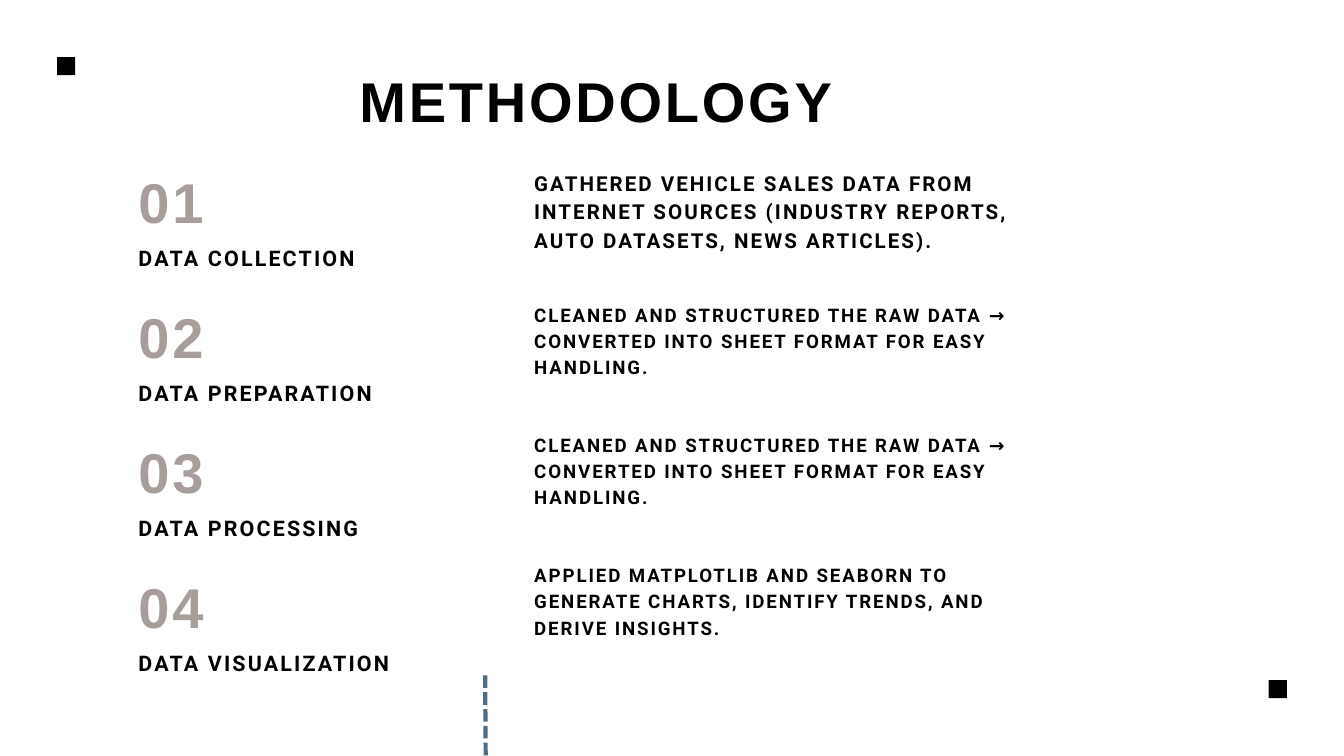
from pptx import Presentation
from pptx.dml.color import RGBColor
from pptx.enum.dml import MSO_LINE
from pptx.enum.shapes import MSO_CONNECTOR, MSO_SHAPE
from pptx.enum.text import MSO_AUTO_SIZE
from pptx.oxml.ns import qn
from pptx.util import Emu, Pt

STRAIGHT = MSO_CONNECTOR.STRAIGHT
RECTANGLE = MSO_SHAPE.RECTANGLE
DASH = MSO_LINE.SQUARE_DOT
GROW = MSO_AUTO_SIZE.SHAPE_TO_FIT_TEXT

COLORS = {"ink": "000000", "number": "A79E9C", "dash": "4E6E81"}

TITLE = "METHODOLOGY"
# Step name, description, top and height of the description, its text size
STEPS = [
    ("DATA COLLECTION",
     "GATHERED VEHICLE SALES DATA FROM INTERNET SOURCES "
     "(INDUSTRY REPORTS, AUTO DATASETS, NEWS ARTICLES).", 248, 164, 22),
    ("DATA PREPARATION",
     "CLEANED AND STRUCTURED THE RAW DATA → "
     "CONVERTED INTO SHEET FORMAT FOR EASY HANDLING.", 446, 154, 20),
    ("DATA PROCESSING",
     "CLEANED AND STRUCTURED THE RAW DATA → "
     "CONVERTED INTO SHEET FORMAT FOR EASY HANDLING.", 640, 154, 20),
    ("DATA VISUALIZATION",
     "APPLIED MATPLOTLIB AND SEABORN TO GENERATE CHARTS, "
     "IDENTIFY TRENDS, AND DERIVE INSIGHTS.", 834, 154, 20),
]
SQUARES = [(85, 85), (1888, 1012)]
SQUARE_SIZE = 27

# Layout in px, 100 to the inch
STEP_LEFT, STEP_WIDTH = 206, 522
STEP_TOP, STEP_PITCH = 233, 201
NAME_OFFSET = 125
DETAIL_LEFT, DETAIL_WIDTH = 795, 773
LINE_RATIO = 1.4


def px(length):
    return Emu(length * 9144)


def color(name):
    return RGBColor.from_string(COLORS[name])


def add_text(page, text, left, top, width, height, size,
             font="Roboto", ink="ink", tracking=0.1):
    box = page.shapes.add_textbox(px(left), px(top), px(width), px(height))
    frame = box.text_frame
    frame.margin_left = frame.margin_right = 0
    frame.margin_top = frame.margin_bottom = 0
    frame.word_wrap = True
    frame.auto_size = GROW
    para = frame.paragraphs[0]
    para.line_spacing = Pt(size * LINE_RATIO)
    span = para.add_run()
    span.text = text
    span.font.name = font
    span.font.size = Pt(size)
    span.font.bold = True
    span.font.color.rgb = color(ink)
    # Letter spacing in hundredths of a point, as a share of the size
    span.font._element.set("spc", str(round(size * tracking * 100)))


def add_square(page, left, top):
    square = page.shapes.add_shape(
        RECTANGLE, px(left), px(top), px(SQUARE_SIZE), px(SQUARE_SIZE))
    square.shadow.inherit = False
    square.fill.solid()
    square.fill.fore_color.rgb = color("ink")
    square.line.fill.background()


def add_dashed_line(page, start, end):
    line = page.shapes.add_connector(
        STRAIGHT, px(start[0]), px(start[1]), px(end[0]), px(end[1]))
    line.line.color.rgb = color("dash")
    line.line.width = Pt(4.5)
    line.line.dash_style = DASH
    properties = line._element.spPr
    properties.append(properties.makeelement(qn("a:effectLst"), {}))


def main():
    deck = Presentation()
    deck.slide_width, deck.slide_height = px(2000), px(1125)
    page = deck.slides.add_slide(deck.slide_layouts[6])

    # Dashed line running off the bottom edge, corner squares
    add_dashed_line(page, (722, 1005), (725, 1477))
    for left, top in SQUARES:
        add_square(page, left, top)

    # Title
    add_text(page, TITLE, 535, 82, 930, 118, 60, font="Arial", tracking=0.05)

    # Numbered steps with their descriptions
    for index, (name, detail, detail_top, detail_height, size) in enumerate(STEPS):
        top = STEP_TOP + index * STEP_PITCH
        add_text(page, f"{index + 1:02d}", STEP_LEFT, top, STEP_WIDTH, 118, 60,
                 font="Arial", ink="number", tracking=0.05)
        add_text(page, name, STEP_LEFT, top + NAME_OFFSET, STEP_WIDTH, 86, 23)
        add_text(page, detail, DETAIL_LEFT, detail_top, DETAIL_WIDTH,
                 detail_height, size)

    deck.save("out.pptx")


if __name__ == "__main__":
    main()
